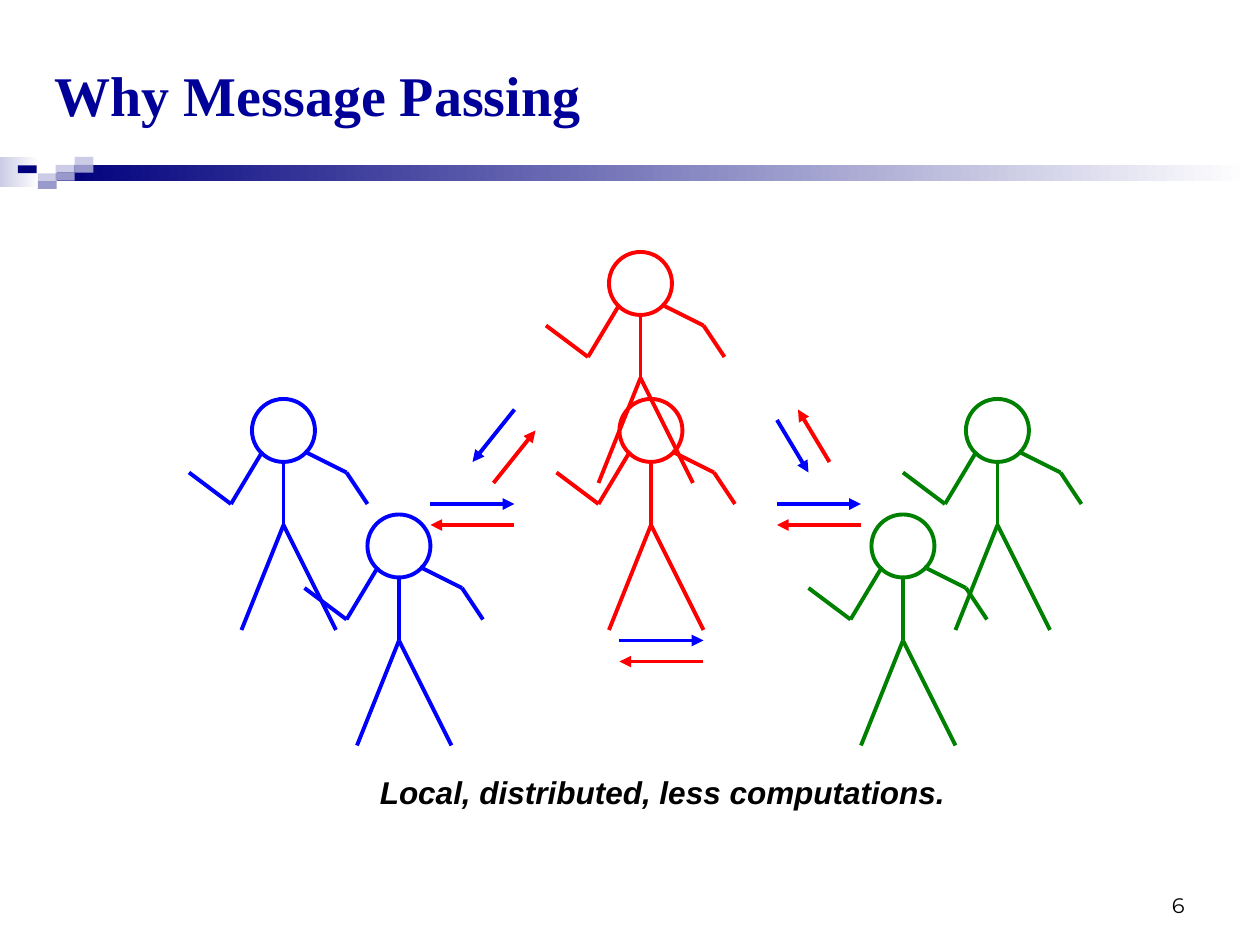
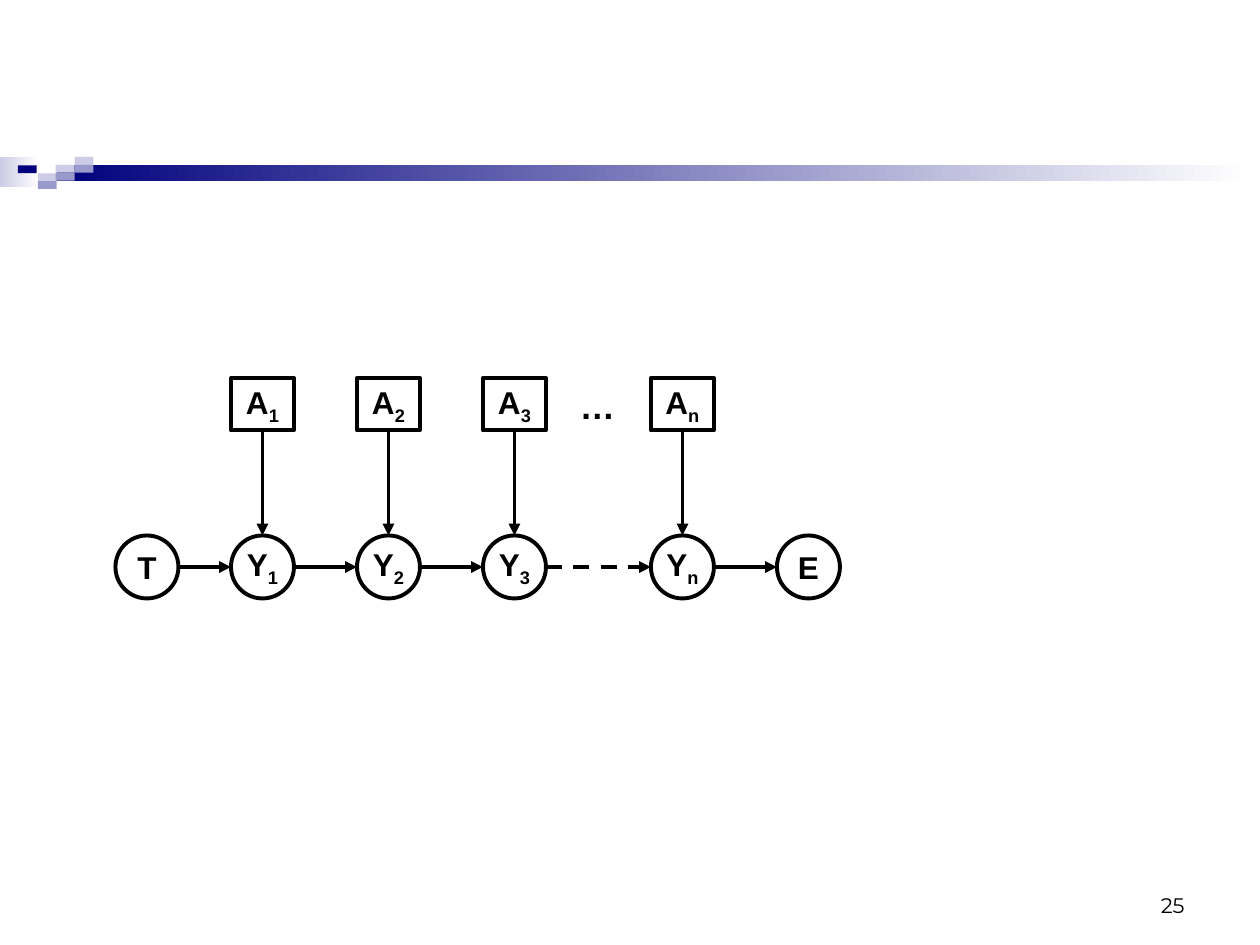
from typing import Any, NamedTuple

from lxml import etree
from pptx import Presentation
from pptx import util as u
from pptx.dml.color import RGBColor
from pptx.enum import dml, shapes, text
from pptx.oxml import ns

# Slide grid: one cell is a twelfth of an inch
WIDE, HIGH = u.Inches(10), u.Inches(7.5)
COLS, ROWS = 120, 90

WHITE = RGBColor(0xFF, 0xFF, 0xFF)
BLACK = RGBColor(0, 0, 0)
NAVY = RGBColor(0, 0, 0x7D)
INK = RGBColor(0, 0, 0x99)
PALE = RGBColor(0xCC, 0xCC, 0xE6)
MID = RGBColor(0x99, 0x99, 0xCC)
RED = RGBColor(0xFF, 0, 0)
BLUE = RGBColor(0, 0, 0xFF)
GREEN = RGBColor(0, 0x80, 0)

RECT, OVAL = shapes.MSO_SHAPE.RECTANGLE, shapes.MSO_SHAPE.OVAL
LEFT, MIDDLE, RIGHT = text.PP_ALIGN.LEFT, text.PP_ALIGN.CENTER, text.PP_ALIGN.RIGHT
STROKE = u.Pt(2.25)

# Font formats
HEAD = {"name": "Times New Roman", "size": u.Pt(32), "bold": True}
BODY = {"name": "Arial", "size": u.Pt(18), "bold": True}
NOTE = BODY | {"italic": True}
DOTS = BODY | {"size": u.Pt(20)}
PAGE = {"name": "Montserrat", "size": u.Pt(12)}


class Box(NamedTuple):
    col: float
    row: float
    wide: float
    high: float


class Point(NamedTuple):
    col: float
    row: float


class Tile(NamedTuple):
    box: Box
    hue: RGBColor
    fade: bool = False


class Person(NamedTuple):
    spot: Point
    hue: RGBColor


class Arrow(NamedTuple):
    tip: Point
    end: Point
    hue: RGBColor = BLACK
    dash: bool = False


# Band below the title
BAND = [
    Tile(Box(0, 14.95, 3.75, 2.9), PALE, True),
    Tile(Box(5.4, 15.7, 113.6, 1.55), NAVY, True),
    *(Tile(Box(col, row, 1.8, 0.75), hue) for col, row, hue in [
        (5.3, 15.7, PALE), (7.1, 14.95, PALE), (7.1, 15.7, MID), (3.6, 16.5, PALE),
        (1.7, 15.75, NAVY), (5.3, 16.45, MID), (3.6, 17.25, MID)]),
]

# Stick figure, measured from the corner of the head
SKULL = 6
LIMBS = [
    (Point(1, 5), Point(-2, 10)), (Point(-2, 10), Point(-6, 7)),
    (Point(5, 5), Point(9, 7)), (Point(9, 7), Point(11, 10)),
    (Point(3, 6), Point(3, 12)),
    (Point(3, 12), Point(-1, 22)), (Point(3, 12), Point(8, 22)),
]
CROWD = [
    Person(Point(58, 24), RED), Person(Point(35, 49), BLUE), Person(Point(83, 49), GREEN),
    Person(Point(24, 38), BLUE), Person(Point(59, 38), RED), Person(Point(92, 38), GREEN),
]

# Messages: a blue arrow and its red reply
SLANTS = [
    Arrow(Point(49, 39), Point(45, 44), BLUE), Arrow(Point(47, 46), Point(51, 41), RED),
    Arrow(Point(74, 40), Point(77, 45), BLUE), Arrow(Point(79, 44), Point(76, 39), RED),
]
PAIRS = [Point(41, 48), Point(59, 61), Point(74, 48)]
REACH, GAP = 8, 2

# Chain model
CHAIN = {"T": 11, "Y1": 22, "Y2": 34, "Y3": 46, "Yn": 62, "E": 74}
TOP, LOW, SIDE, TALL = 36, 51, 6, 5


def x(col: float) -> int:
    return round(WIDE * col / COLS)


def y(row: float) -> int:
    return round(HIGH * row / ROWS)


def place(box: Box) -> tuple[int, int, int, int]:
    return x(box.col), y(box.row), x(box.wide), y(box.high)


def apply(obj: Any, form: dict[str, Any]) -> None:
    for key, val in form.items():
        setattr(obj, key, val)


def write(frame: Any, words: str, form: dict[str, Any], hue: RGBColor = BLACK,
          align: Any = LEFT, sub: str = "", **extra: Any) -> None:
    apply(frame, {"word_wrap": False, "auto_size": text.MSO_AUTO_SIZE.NONE} | extra)
    para = frame.paragraphs[0]
    para.alignment = align
    for part in filter(None, (words, sub)):
        run = para.add_run()
        run.text = part
        apply(run.font, form)
        run.font.color.rgb = hue
    if sub:
        run._r.get_or_add_rPr().set("baseline", "-25000")


def label(slide: Any, box: Box, words: str, form: dict[str, Any], **extra: Any) -> None:
    write(slide.shapes.add_textbox(*place(box)).text_frame, words, form, **extra)


def shape(slide: Any, kind: Any, box: Box, fill: RGBColor | None = None,
          edge: RGBColor | None = None) -> Any:
    item = slide.shapes.add_shape(kind, *place(box))
    item.shadow.inherit = False
    if fill is None:
        item.fill.background()
    else:
        item.fill.solid()
        item.fill.fore_color.rgb = fill
    if edge is None:
        item.line.fill.background()
    else:
        item.line.color.rgb = edge
        item.line.width = STROKE
    return item


def line(slide: Any, tip: Point, end: Point, hue: RGBColor) -> Any:
    item = slide.shapes.add_connector(
        shapes.MSO_CONNECTOR.STRAIGHT, x(tip.col), y(tip.row), x(end.col), y(end.row))
    item.line.color.rgb = hue
    item.line.width = STROKE
    etree.SubElement(item._element.spPr, ns.qn("a:effectLst"))
    return item


def arrow(slide: Any, spec: Arrow) -> None:
    item = line(slide, spec.tip, spec.end, spec.hue)
    if spec.dash:
        item.line.dash_style = dml.MSO_LINE.DASH
    etree.SubElement(item.line._get_or_add_ln(), ns.qn("a:tailEnd"), type="triangle")


def person(slide: Any, who: Person) -> None:
    col, row = who.spot
    shape(slide, OVAL, Box(col, row, SKULL, SKULL), edge=who.hue)
    for tip, end in LIMBS:
        line(slide, Point(col + tip.col, row + tip.row),
             Point(col + end.col, row + end.row), who.hue)


def node(slide: Any, kind: Any, box: Box, name: str) -> None:
    frame = shape(slide, kind, box, WHITE, BLACK).text_frame
    write(frame, name[0], BODY, align=MIDDLE, sub=name[1:],
          vertical_anchor=text.MSO_ANCHOR.MIDDLE)


def start(deck: Any, page: int, title: str = "") -> Any:
    """Add a slide with the band, its number and, if given, a title."""
    name = "Title Only" if title else "Blank"
    slide = deck.slides.add_slide(deck.slide_layouts.get_by_name(name))
    for tile in BAND:
        item = shape(slide, RECT, tile.box, tile.hue)
        if tile.fade:
            item.fill.gradient()
            item.fill.gradient_angle = 0
            for stop, hue in zip(item.fill.gradient_stops, (tile.hue, WHITE)):
                stop.color.rgb = hue
    if title:
        spot = dict(zip(("left", "top", "width", "height"), place(Box(4, 3, 93, 12))))
        apply(slide.shapes.title, spot)
        write(slide.shapes.title.text_frame, title, HEAD, INK, word_wrap=True,
              vertical_anchor=text.MSO_ANCHOR.MIDDLE)
    label(slide, Box(86, 84, 28, 4), str(page), PAGE, align=RIGHT, word_wrap=True,
          vertical_anchor=text.MSO_ANCHOR.BOTTOM)
    return slide


def crowd(deck: Any) -> None:
    slide = start(deck, 6, "Why Message Passing")
    for who in CROWD:
        person(slide, who)
    for spec in SLANTS:
        arrow(slide, spec)
    for col, row in PAIRS:
        arrow(slide, Arrow(Point(col, row), Point(col + REACH, row), BLUE))
        arrow(slide, Arrow(Point(col + REACH, row + GAP), Point(col, row + GAP), RED))
    label(slide, Box(35, 73, 56.2, 4.8), "Local, distributed, less computations.", NOTE,
          auto_size=text.MSO_AUTO_SIZE.SHAPE_TO_FIT_TEXT)


def chain(deck: Any) -> None:
    slide = start(deck, 25)
    mid = LOW + SIDE / 2
    for name, col in CHAIN.items():
        node(slide, OVAL, Box(col, LOW, SIDE, SIDE), name)
        if name[1:]:
            node(slide, RECT, Box(col, TOP, SIDE, TALL), "A" + name[1:])
            hub = col + SIDE / 2
            arrow(slide, Arrow(Point(hub, TOP + TALL), Point(hub, LOW)))
    # Links between neighbours; the skipped steps are dashed
    names = list(CHAIN)
    for one, two in zip(names, names[1:]):
        arrow(slide, Arrow(Point(CHAIN[one] + SIDE, mid), Point(CHAIN[two], mid),
                           dash=two == "Yn"))
    label(slide, Box(54, TOP, 5.8, 5.3), "…", DOTS, align=MIDDLE,
          auto_size=text.MSO_AUTO_SIZE.SHAPE_TO_FIT_TEXT)


def main() -> None:
    deck = Presentation()
    apply(deck, {"slide_width": WIDE, "slide_height": HIGH})
    crowd(deck)
    chain(deck)
    deck.save("out.pptx")


if __name__ == "__main__":
    main()
